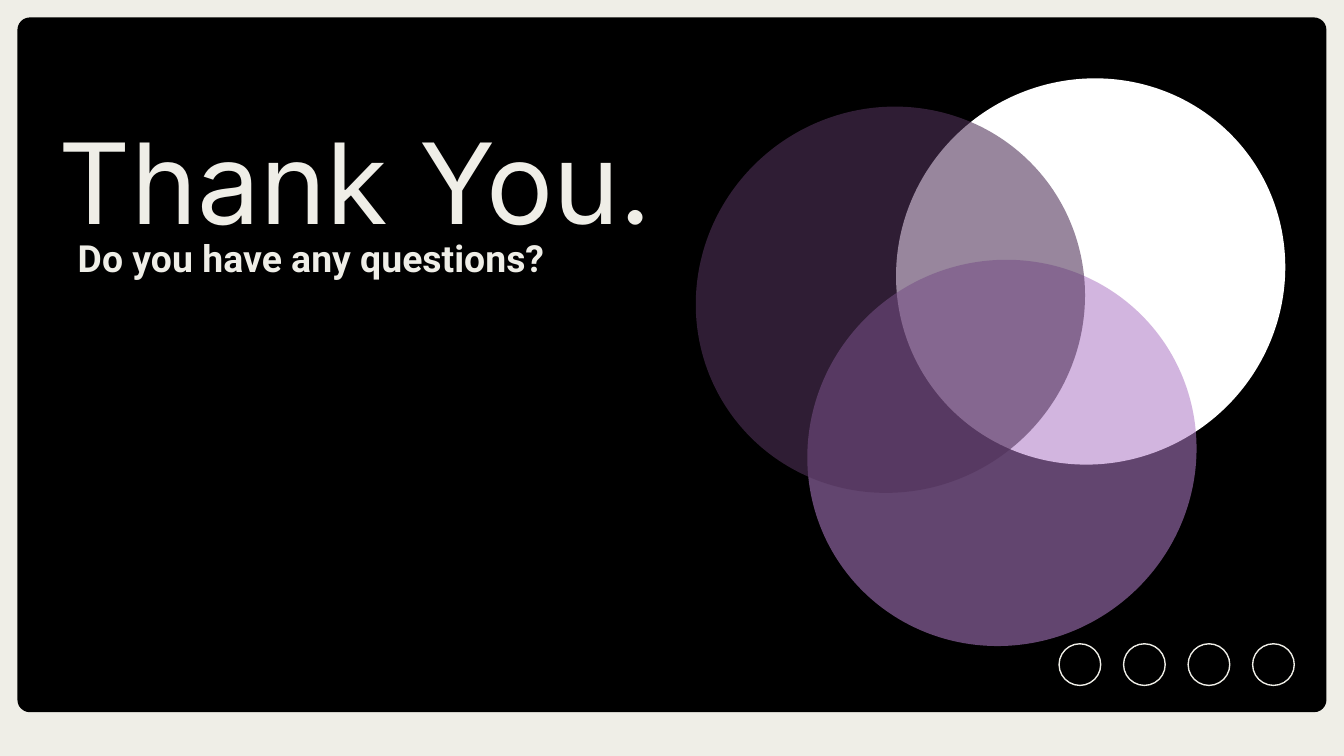
"""Build a closing thank-you slide with three overlapping circles."""
from lxml.etree import SubElement
from pptx import Presentation
from pptx.dml.color import RGBColor
from pptx.enum.shapes import MSO_SHAPE as Kind
from pptx.enum.text import MSO_ANCHOR as Anchor
from pptx.oxml.ns import qn
from pptx.util import Inches, Pt

WIDE = 10
HIGH = WIDE * 9 / 16
CREAM, BLACK = "EFEEE7", "000000"
EDGE = 0.13
TEXTS = [
    ("Thank You.", (0.34, 0.98, 4.79, 0.96), "Inter", 60, False, Anchor.BOTTOM),
    ("Do you have any questions?", (0.48, 1.65, 3.82, 0.57), "Roboto", 20, True, Anchor.TOP),
]
DISCS = [
    (6.69, 0.56, "FFFFFF", 100),
    (6.03, 1.91, "B07CC6", 56),
    (5.2, 0.77, "503259", 59),
]
DISC, TURN = (2.85, 2.92), 54.1
RINGS, RING, LEFT, TOP, STEP = 4, 0.31, 7.88, 4.79, 0.48


def paint(fill, color, alpha=100):
    fill.solid()
    fill.fore_color.rgb = RGBColor.from_string(color)
    if alpha < 100:
        tint = fill._xPr.find(qn("a:solidFill"))[0]
        SubElement(tint, qn("a:alpha")).set("val", str(alpha * 1000))


def draw(slide, kind, box):
    shape = slide.shapes.add_shape(kind, *map(Inches, box))
    shape.shadow.inherit = False
    shape.line.fill.background()
    return shape


def write(slide, text, box, font, size, bold, anchor):
    frame = slide.shapes.add_textbox(*map(Inches, box)).text_frame
    frame.word_wrap = True
    frame.vertical_anchor = anchor
    frame.margin_left = frame.margin_right = Inches(0.1)
    frame.margin_top = frame.margin_bottom = Inches(0.1)
    frame.text = text
    face = frame.paragraphs[0].runs[0].font
    face.name, face.size, face.bold = font, Pt(size), bold
    face.color.rgb = RGBColor.from_string(CREAM)


def main():
    deck = Presentation()
    deck.slide_width, deck.slide_height = Inches(WIDE), Inches(HIGH)
    slide = deck.slides.add_slide(deck.slide_layouts[6])
    paint(slide.background.fill, CREAM)

    panel = draw(slide, Kind.ROUNDED_RECTANGLE, (EDGE, EDGE, WIDE - 2 * EDGE, 5.17))
    panel.adjustments[0] = 0.018
    paint(panel.fill, BLACK)

    for item in TEXTS:
        write(slide, *item)

    for col in range(RINGS):
        ring = draw(slide, Kind.OVAL, (LEFT + col * STEP, TOP, RING, RING))
        ring.fill.background()
        paint(ring.line.fill, CREAM)
        ring.line.width = Pt(0.75)

    for left, top, color, alpha in DISCS:
        disc = draw(slide, Kind.OVAL, (left, top, *DISC))
        disc.rotation = TURN
        paint(disc.fill, color, alpha)

    deck.save("out.pptx")


if __name__ == "__main__":
    main()
